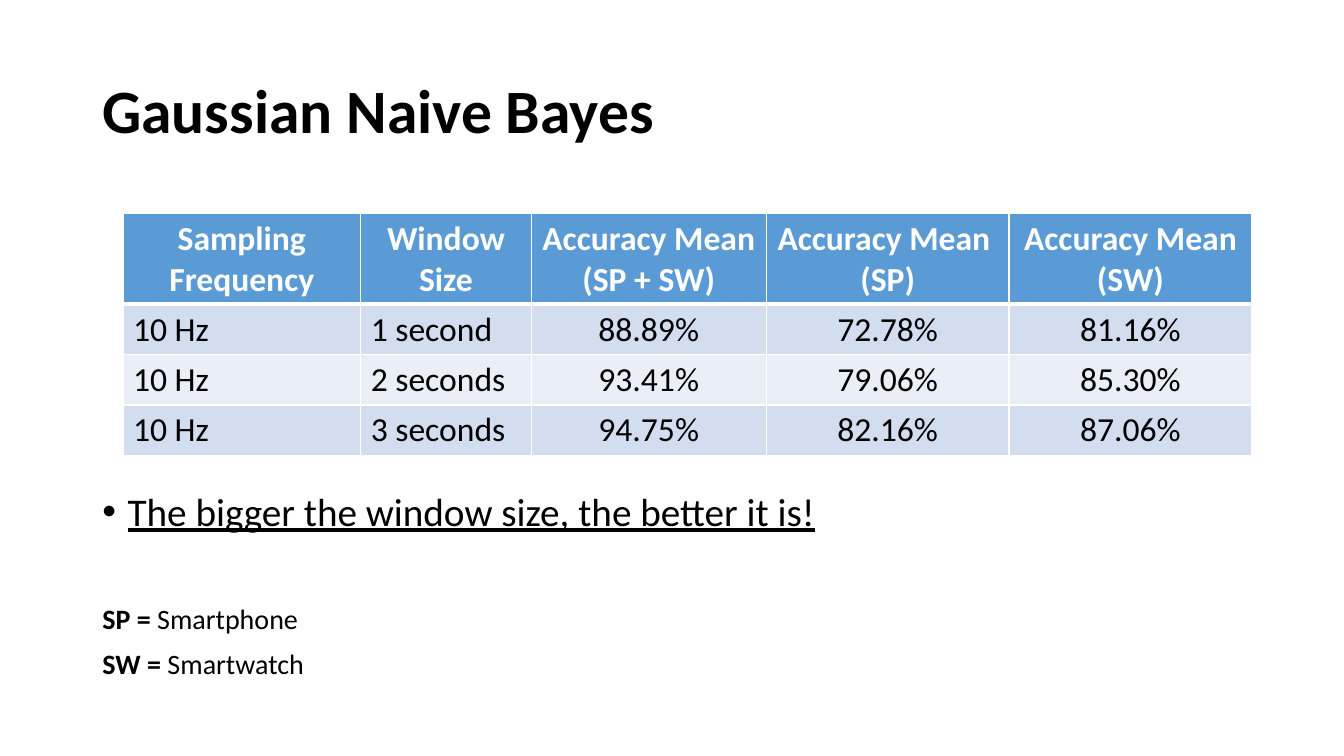
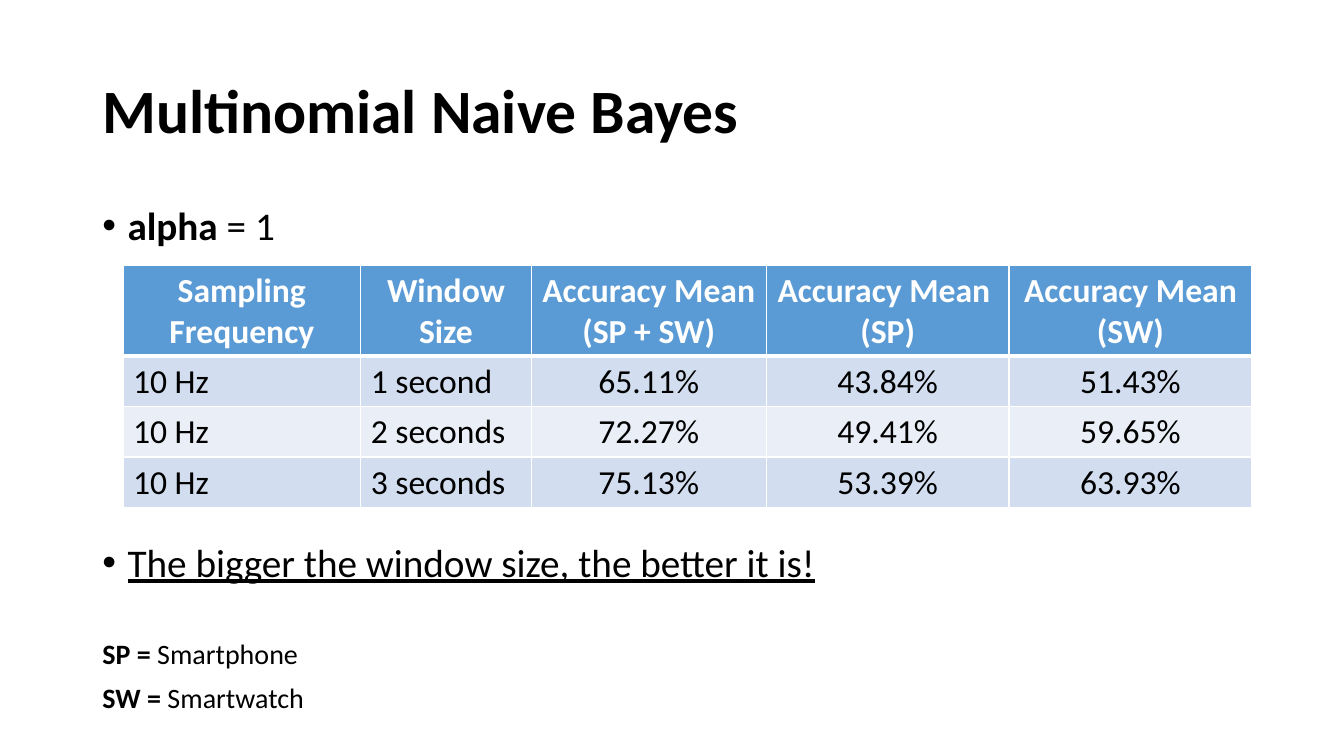
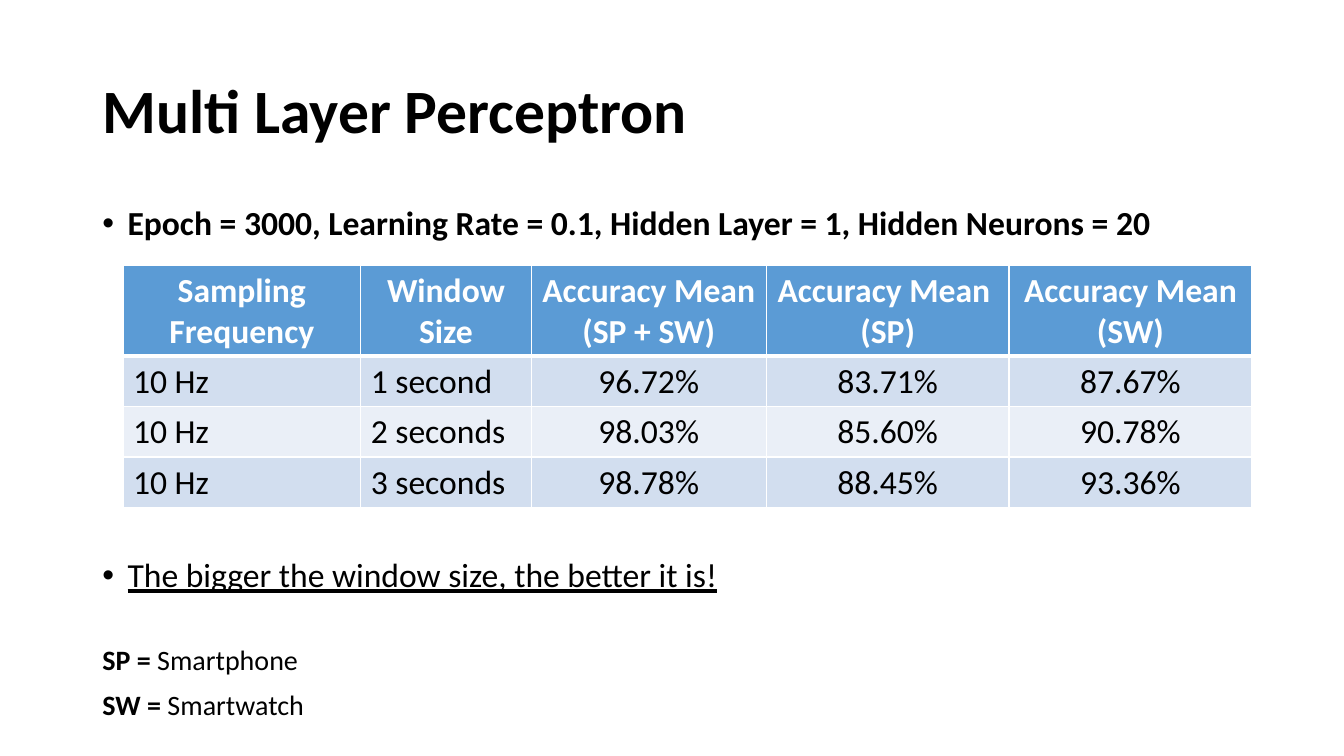
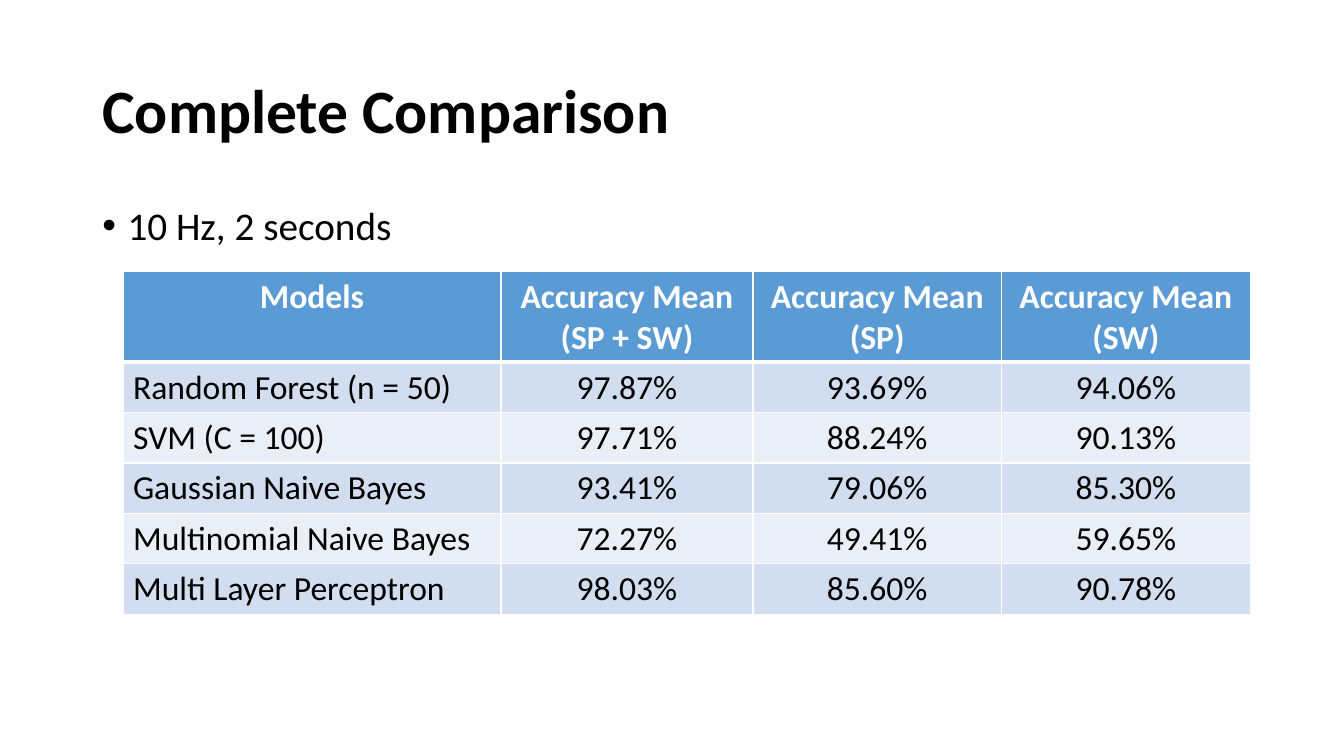
from lxml.etree import SubElement
from pptx import Presentation
from pptx.dml.color import RGBColor
from pptx.enum.text import MSO_ANCHOR, PP_ALIGN
from pptx.oxml.ns import qn
from pptx.util import Inches, Pt

# Shared style
BLACK = RGBColor(0x00, 0x00, 0x00)
WHITE = RGBColor(0xFF, 0xFF, 0xFF)
HEADER_BLUE = RGBColor(0x5B, 0x9B, 0xD5)
BAND_DARK = RGBColor(0xD2, 0xDE, 0xEF)
BAND_LIGHT = RGBColor(0xEA, 0xEF, 0xF7)
FONT = "Calibri"
GRID_COLUMNS, GRID_ROWS = 160, 90
TEXT_LEFT, TEXT_WIDTH = 11, 138
TABLE_LEFT = 14.64
HEADER_ROWS, BODY_ROWS = 10.8, 6
BOLD, UNDERLINED = {"bold": True}, {"underline": True}


def apply_formats(target, formats):
    for name, value in formats.items():
        setattr(target, name, value)


class Deck:
    """Holds the style and the slide being filled."""

    def __init__(self):
        self.presentation = Presentation()
        apply_formats(self.presentation, {"slide_width": Inches(13.33), "slide_height": Inches(7.5)})
        self.slide = None

    def across(self, columns):
        return round(self.presentation.slide_width * columns / GRID_COLUMNS)

    def down(self, rows):
        return round(self.presentation.slide_height * rows / GRID_ROWS)

    def add_runs(self, paragraph, runs, size, color=BLACK):
        for text, formats in runs:
            run = paragraph.add_run()
            run.text = text
            apply_formats(run.font, {"name": FONT, "size": Pt(size), **formats})
            run.font.color.rgb = color

    def text(self, top, height, lines, size, anchor=MSO_ANCHOR.TOP, bullet=False):
        shape = self.slide.shapes.add_textbox(
            self.across(TEXT_LEFT), self.down(top), self.across(TEXT_WIDTH), self.down(height))
        frame = shape.text_frame
        apply_formats(frame, {"word_wrap": True, "vertical_anchor": anchor})
        for index, runs in enumerate(lines):
            paragraph = frame.add_paragraph() if index else frame.paragraphs[0]
            apply_formats(paragraph, {"line_spacing": 0.9, "space_before": Pt(10 if index else 0)})
            self.add_runs(paragraph, runs, size)
            if bullet:
                properties = paragraph._p.get_or_add_pPr()
                properties.set("marL", str(Inches(0.25)))
                properties.set("indent", str(-Inches(0.25)))
                SubElement(properties, qn("a:buFont"), typeface="Arial")
                SubElement(properties, qn("a:buChar"), char="•")

    def title_slide(self, title):
        self.slide = self.presentation.slides.add_slide(self.presentation.slide_layouts[6])
        self.text(4.8, 17.4, [[(title, BOLD)]], 44, MSO_ANCHOR.MIDDLE)

    def bullet(self, top, runs, size=28):
        self.text(top, 6.4, [runs], size, bullet=True)

    def legend(self, top):
        pairs = [("SP =", " Smartphone"), ("SW =", " Smartwatch")]
        self.text(top, 10.2, [[(key, BOLD), (meaning, {})] for key, meaning in pairs], 20)

    def borders(self, cell, row_index):
        properties = cell._tc.get_or_add_tcPr()
        widths = {"L": 1, "R": 1, "T": 3 if row_index == 1 else 1, "B": 1 if row_index else 3}
        for side, width in widths.items():
            line = SubElement(properties, qn("a:ln" + side), w=str(Pt(width)))
            SubElement(SubElement(line, qn("a:solidFill")), qn("a:srgbClr"), val=str(WHITE))

    def table(self, top, widths, rows, label_columns):
        heights = [HEADER_ROWS] + [BODY_ROWS] * (len(rows) - 1)
        table = self.slide.shapes.add_table(
            len(rows), len(widths), self.across(TABLE_LEFT), self.down(top),
            self.across(sum(widths)), self.down(sum(heights))).table
        apply_formats(table, {"first_row": False, "horz_banding": False})
        for column, width in zip(table.columns, widths):
            column.width = self.across(width)
        for row_index, values in enumerate(rows):
            header = row_index == 0
            table.rows[row_index].height = self.down(heights[row_index])
            band = HEADER_BLUE if header else (BAND_LIGHT, BAND_DARK)[row_index % 2]
            for column_index, value in enumerate(values):
                cell = table.cell(row_index, column_index)
                self.borders(cell, row_index)
                cell.fill.solid()
                cell.fill.fore_color.rgb = band
                centred = header or column_index >= label_columns
                for line_index, line in enumerate(value.split("\n")):
                    frame = cell.text_frame
                    paragraph = frame.add_paragraph() if line_index else frame.paragraphs[0]
                    paragraph.alignment = PP_ALIGN.CENTER if centred else PP_ALIGN.LEFT
                    self.add_runs(paragraph, [(line, {"bold": header})], 24, WHITE if header else BLACK)

    def window_table(self, top, accuracies):
        header = ["Sampling Frequency", "Window Size", "Accuracy Mean \n(SP + SW)",
                  "Accuracy Mean \n(SP)", "Accuracy Mean\n(SW)"]
        windows = ["1 second", "2 seconds", "3 seconds"]
        rows = [["10 Hz", window, *values] for window, values in zip(windows, accuracies)]
        self.table(top, [28.3, 20.3, 28, 28.9, 28.9], [header] + rows, 2)


# Slides on a single model
models = [
    {"title": "Gaussian Naive Bayes", "settings": [], "size": 28,
     "table": 25.4, "takeaway": 58, "legend": 71.5,
     "accuracies": [("88.89%", "72.78%", "81.16%"),
                    ("93.41%", "79.06%", "85.30%"),
                    ("94.75%", "82.16%", "87.06%")]},
    {"title": "Multinomial Naive Bayes", "settings": [("alpha", BOLD), (" = 1", {})], "size": 28,
     "table": 31.6, "takeaway": 64.1, "legend": 75.6,
     "accuracies": [("65.11%", "43.84%", "51.43%"),
                    ("72.27%", "49.41%", "59.65%"),
                    ("75.13%", "53.39%", "63.93%")]},
    {"title": "Multi Layer Perceptron",
     "settings": [("Epoch = 3000, Learning Rate = 0.1, Hidden Layer = 1, Hidden Neurons = 20", BOLD)],
     "size": 24, "table": 31.6, "takeaway": 65.9, "legend": 76.4,
     "accuracies": [("96.72%", "83.71%", "87.67%"),
                    ("98.03%", "85.60%", "90.78%"),
                    ("98.78%", "88.45%", "93.36%")]},
]
deck = Deck()
for model in models:
    deck.title_slide(model["title"])
    if model["settings"]:
        deck.bullet(24, model["settings"], model["size"])
    deck.window_table(model["table"], model["accuracies"])
    deck.bullet(model["takeaway"], [("The bigger the window size, the better it is!", UNDERLINED)], model["size"])
    deck.legend(model["legend"])

# Comparison of all models
deck.title_slide("Complete Comparison")
deck.bullet(24, [("10 Hz, 2 seconds", {})])
deck.table(32.3, [45, 30, 29.6, 29.6], [
    ["Models", "Accuracy Mean\n(SP + SW)", "Accuracy Mean\n(SP)", "Accuracy Mean\n(SW)"],
    ["Random Forest (n = 50)", "97.87%", "93.69%", "94.06%"],
    ["SVM (C = 100)", "97.71%", "88.24%", "90.13%"],
    *([model["title"], *model["accuracies"][1]] for model in models),
], 1)

deck.presentation.save("out.pptx")
